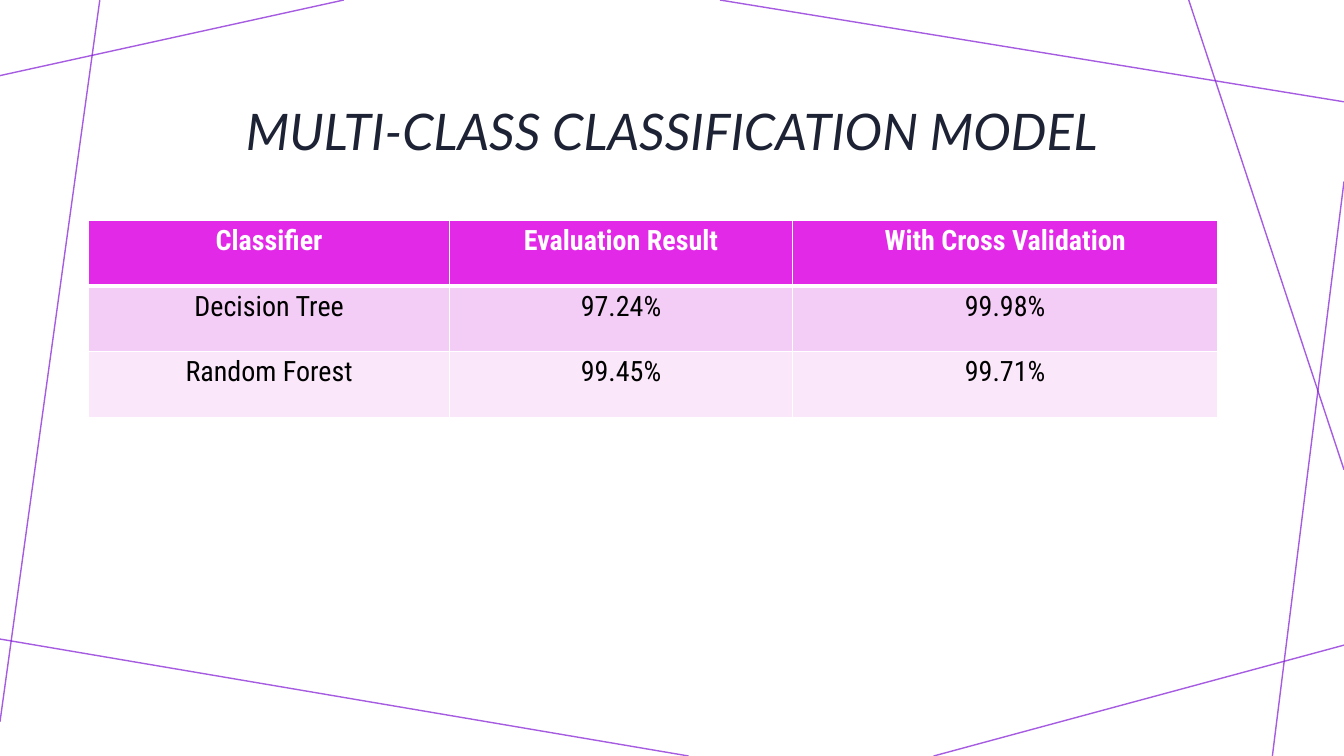
from dataclasses import dataclass

from lxml import etree
from pptx import Presentation
from pptx.dml.color import RGBColor
from pptx.enum.shapes import MSO_CONNECTOR
from pptx.enum.text import MSO_ANCHOR, MSO_AUTO_SIZE, PP_ALIGN
from pptx.oxml.ns import qn
from pptx.slide import Slide
from pptx.table import _Cell
from pptx.util import Inches, Pt

STRAIGHT = MSO_CONNECTOR.STRAIGHT
MIDDLE = MSO_ANCHOR.MIDDLE
TOP = MSO_ANCHOR.TOP
NO_FIT = MSO_AUTO_SIZE.NONE
CENTER = PP_ALIGN.CENTER

COLORS = {
    "line": "8117D5",
    "title": "1D2334",
    "head": "E229E7",
    "odd": "F4CDF6",
    "even": "FAE8FA",
    "white": "FFFFFF",
    "black": "000000",
}


@dataclass
class Line:
    x1: float
    y1: float
    x2: float
    y2: float


@dataclass
class Row:
    fill: str
    ink: str
    bold: bool
    top: float
    base: float
    texts: tuple[str, ...]


LINES = [
    Line(3.41, 0, 0, 0.75),
    Line(0.99, 0, 0, 7.16),
    Line(6.83, 7.5, 0, 6.34),
    Line(13.33, 6.4, 9.26, 7.5),
    Line(13.33, 1.8, 12.62, 7.5),
    Line(13.33, 4.66, 11.79, 0),
    Line(13.33, 1.01, 7.14, 0),
]

ROWS = [
    Row("head", "white", True, 1, 3,
        ("Classifier", "Evaluation Result", "With Cross Validation")),
    Row("odd", "black", False, 3, 1, ("Decision Tree", "97.24%", "99.98%")),
    Row("even", "black", False, 1, 1, ("Random Forest", "99.45%", "99.71%")),
]
WIDTHS = (3.58, 3.4, 4.22)
HEIGHT = 0.65

TITLE_BOX = {"left": Inches(1.25), "top": Inches(0.58),
             "width": Inches(10.83), "height": Inches(1.51)}
TITLE_FRAME = {"text": "MULTI-CLASS CLASSIFICATION MODEL", "word_wrap": True,
               "auto_size": NO_FIT, "vertical_anchor": MIDDLE}
TITLE_PARA = {"alignment": CENTER, "line_spacing": 0.9}
TITLE_FONT = {"name": "Lato", "size": Pt(36), "italic": True, "bold": False}
CELL_BOX = {"margin_left": Inches(0.04), "margin_right": Inches(0.04),
            "margin_top": Inches(0.04), "margin_bottom": Inches(0.04),
            "vertical_anchor": TOP}
CELL_PARA = {"alignment": CENTER, "space_after": Pt(7.2)}
CELL_FONT = {"name": "Roboto Condensed", "size": Pt(20)}


def color(key: str) -> RGBColor:
    return RGBColor.from_string(COLORS[key])


def apply(target: object, values: dict) -> None:
    for key, value in values.items():
        setattr(target, key, value)


def draw_line(slide: Slide, line: Line) -> None:
    ends = (Inches(n) for n in (line.x1, line.y1, line.x2, line.y2))
    shape = slide.shapes.add_connector(STRAIGHT, *ends)
    shape.line.width = Pt(1)
    shape.line.color.rgb = color("line")
    props = shape._element.spPr
    tint = props.find(".//" + qn("a:srgbClr"))
    etree.SubElement(tint, qn("a:alpha"), val="70000")
    etree.SubElement(props, qn("a:effectLst"))


def draw_title(slide: Slide) -> None:
    title = slide.shapes.title
    apply(title, TITLE_BOX)
    apply(title.text_frame, TITLE_FRAME)
    para = title.text_frame.paragraphs[0]
    apply(para, TITLE_PARA)
    font = para.runs[0].font
    apply(font, TITLE_FONT)
    font.color.rgb = color("title")


def add_edges(cell: _Cell, row: Row) -> None:
    props = cell._tc.get_or_add_tcPr()
    edges = {"a:lnL": 1, "a:lnR": 1, "a:lnT": row.top, "a:lnB": row.base}
    for tag, width in edges.items():
        edge = etree.SubElement(props, qn(tag), w=str(Pt(width)))
        fill = etree.SubElement(edge, qn("a:solidFill"))
        etree.SubElement(fill, qn("a:srgbClr"), val=COLORS["white"])


def fill_cell(cell: _Cell, text: str, row: Row) -> None:
    add_edges(cell, row)
    cell.fill.solid()
    cell.fill.fore_color.rgb = color(row.fill)
    apply(cell, CELL_BOX)
    cell.text = text
    para = cell.text_frame.paragraphs[0]
    apply(para, CELL_PARA)
    font = para.runs[0].font
    apply(font, CELL_FONT | {"bold": row.bold})
    font.color.rgb = color(row.ink)


def draw_table(slide: Slide) -> None:
    frame = slide.shapes.add_table(
        len(ROWS), len(WIDTHS), Inches(0.88), Inches(2.19),
        Inches(sum(WIDTHS)), Inches(HEIGHT * len(ROWS)))
    table = frame.table
    table.horz_banding = False
    for col, width in zip(table.columns, WIDTHS):
        col.width = Inches(width)
    for line, row in zip(table.rows, ROWS):
        line.height = Inches(HEIGHT)
        for cell, text in zip(line.cells, row.texts):
            fill_cell(cell, text, row)


def main() -> None:
    deck = Presentation()
    apply(deck, {"slide_width": Inches(13.33), "slide_height": Inches(7.5)})
    slide = deck.slides.add_slide(deck.slide_layouts[5])
    slide.background.fill.solid()
    slide.background.fill.fore_color.rgb = color("white")
    for line in LINES:
        draw_line(slide, line)
    draw_title(slide)
    draw_table(slide)
    deck.save("out.pptx")


if __name__ == "__main__":
    main()
